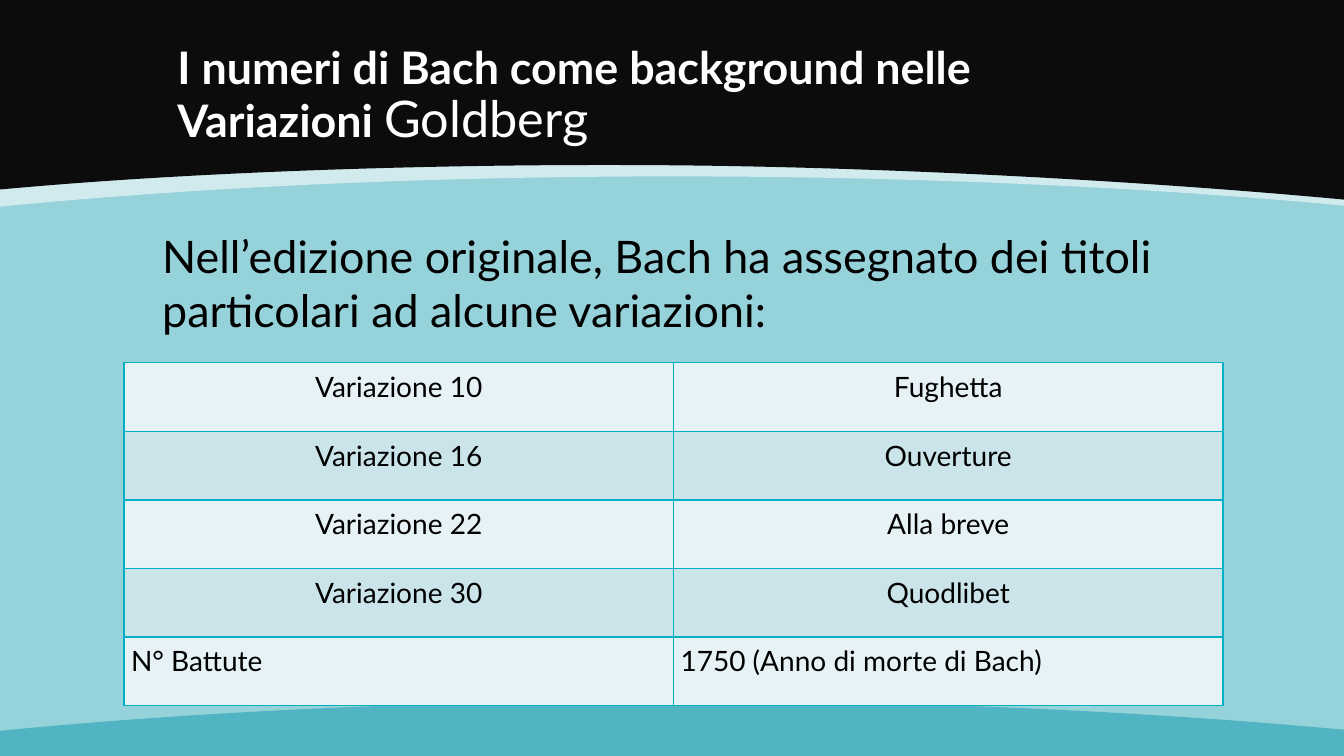
from dataclasses import dataclass

from lxml import etree
from pptx import Presentation
from pptx.dml.color import RGBColor
from pptx.enum.text import MSO_ANCHOR, MSO_AUTO_SIZE, PP_ALIGN
from pptx.oxml.ns import qn
from pptx.util import Inches, Pt

TOP, BOTTOM = MSO_ANCHOR.TOP, MSO_ANCHOR.BOTTOM
NO_AUTOFIT = MSO_AUTO_SIZE.NONE
LEFT, CENTER = PP_ALIGN.LEFT, PP_ALIGN.CENTER
WIDTH, HEIGHT = 13.33, 7.5


@dataclass(frozen=True)
class Theme:
    """Colours, font and type sizes of the slide."""
    font: str = "Lato"
    background: str = "96D2DA"
    glow: str = "E9F5F7"
    header: str = "0C0C0C"
    footer: str = "51B4C2"
    light_text: str = "FFFFFF"
    dark_text: str = "000000"
    border: str = "00B1C5"
    row_fills: tuple = ("E6F2F5", "CAE4EA")
    title_size: int = 32
    accent_size: int = 36
    body_size: int = 32
    table_size: int = 20


theme = Theme()


def add_band(shapes, base, edge, color):
    """Fill the area between a slide edge and two Bezier curves."""
    points = [(Inches(x), Inches(y)) for x, y in [(0, base), (WIDTH, base)] + edge]
    builder = shapes.build_freeform(*points[0])
    builder.add_line_segments(points[1:], close=True)
    band = builder.convert_to_shape()
    # The six points after the edge's start are the handles and ends of two curves
    segments = list(band.element.iter(qn("a:lnTo")))[2:8]
    for first in (0, 3):
        curve = etree.Element(qn("a:cubicBezTo"))
        segments[first].addprevious(curve)
        for segment in segments[first:first + 3]:
            curve.append(segment[0])
            segment.getparent().remove(segment)
    band.shadow.inherit = False
    band.line.fill.background()
    band.fill.solid()
    band.fill.fore_color.rgb = RGBColor.from_string(color)
    return band


def add_run(paragraph, text, size, color, bold=False):
    """Append one formatted run to a paragraph."""
    run = paragraph.add_run()
    run.text = text
    run.font.name = theme.font
    run.font.size = Pt(size)
    run.font.bold = bold
    run.font.color.rgb = RGBColor.from_string(color)


presentation = Presentation()
presentation.slide_width = Inches(WIDTH)
presentation.slide_height = Inches(HEIGHT)
slide = presentation.slides.add_slide(presentation.slide_layouts[5])
slide.background.fill.solid()
slide.background.fill.fore_color.rgb = RGBColor.from_string(theme.background)
shapes = slide.shapes

# Curved bands, each edge running from right to left
glow_edge = [(WIDTH, 2.04), (11.4, 1.86), (9.12, 1.75), (6.68, 1.75),
             (4.23, 1.75), (1.94, 1.86), (0, 2.05)]
header_edge = [(WIDTH, 1.98), (11.4, 1.8), (8.89, 1.66), (6.68, 1.64),
               (4.45, 1.62), (1.94, 1.7), (0, 1.88)]
footer_edge = [(WIDTH, 7.24), (11.4, 7.06), (9.12, 6.95), (6.68, 6.95),
               (4.23, 6.95), (1.94, 7.06), (0, 7.25)]
glow = add_band(shapes, 0, glow_edge, theme.glow)
glow_color = next(glow.element.spPr.iter(qn("a:srgbClr")))
etree.SubElement(glow_color, qn("a:alpha"), val="70000")
add_band(shapes, 0, header_edge, theme.header)
add_band(shapes, HEIGHT, footer_edge, theme.footer)

# Title, brought in front of the bands; its bottom inset lifts the text
title = shapes.title
title.element.getparent().append(title.element)
title.left, title.top, title.width, title.height = map(Inches, (1.66, 1.34, 10, 1.2))
title.text_frame.auto_size = NO_AUTOFIT
title.text_frame.word_wrap = True
title.text_frame.vertical_anchor = BOTTOM
title.text_frame.margin_bottom = Inches(1.07)
paragraph = title.text_frame.paragraphs[0]
paragraph.alignment = LEFT
paragraph.line_spacing = 0.9
add_run(paragraph, "I numeri di Bach come background nelle Variazioni ",
        theme.title_size, theme.light_text, bold=True)
add_run(paragraph, "Goldberg", theme.accent_size, theme.light_text)

# Introduction
introduction = shapes.add_textbox(*map(Inches, (1.51, 2.54, 11.45, 1.06)))
introduction.text_frame.auto_size = NO_AUTOFIT
introduction.text_frame.word_wrap = True
introduction.text_frame.vertical_anchor = BOTTOM
introduction.text_frame.margin_bottom = Inches(0.26)
add_run(introduction.text_frame.paragraphs[0],
        "Nell’edizione originale, Bach ha assegnato dei titoli "
        "particolari ad alcune variazioni:", theme.body_size, theme.dark_text)

# Table of titled variations
variations = [
    ("Variazione 10", "Fughetta"),
    ("Variazione 16", "Ouverture"),
    ("Variazione 22", "Alla breve"),
    ("Variazione 30", "Quodlibet"),
    ("N° Battute", "1750 (Anno di morte di Bach)"),
]
table = shapes.add_table(len(variations), 2, *map(Inches, (1.23, 3.6, 10.9, 3.4))).table
table.first_row = False
table.horz_banding = False
for row_index, texts in enumerate(variations):
    is_total = row_index == len(variations) - 1
    for column_index, text in enumerate(texts):
        cell = table.cell(row_index, column_index)
        cell.margin_left = cell.margin_right = Inches(0.07)
        cell.margin_top = cell.margin_bottom = Inches(0.07)
        cell.vertical_anchor = TOP
        paragraph = cell.text_frame.paragraphs[0]
        paragraph.alignment = LEFT if is_total else CENTER
        add_run(paragraph, text, theme.table_size, theme.dark_text)
        properties = cell._tc.get_or_add_tcPr()
        for side in ("lnL", "lnR", "lnT", "lnB"):
            line = etree.SubElement(properties, qn(f"a:{side}"), w=str(Pt(1)))
            fill = etree.SubElement(line, qn("a:solidFill"))
            etree.SubElement(fill, qn("a:srgbClr"), val=theme.border)
        cell.fill.solid()
        cell.fill.fore_color.rgb = RGBColor.from_string(theme.row_fills[row_index % 2])

presentation.save("out.pptx")
